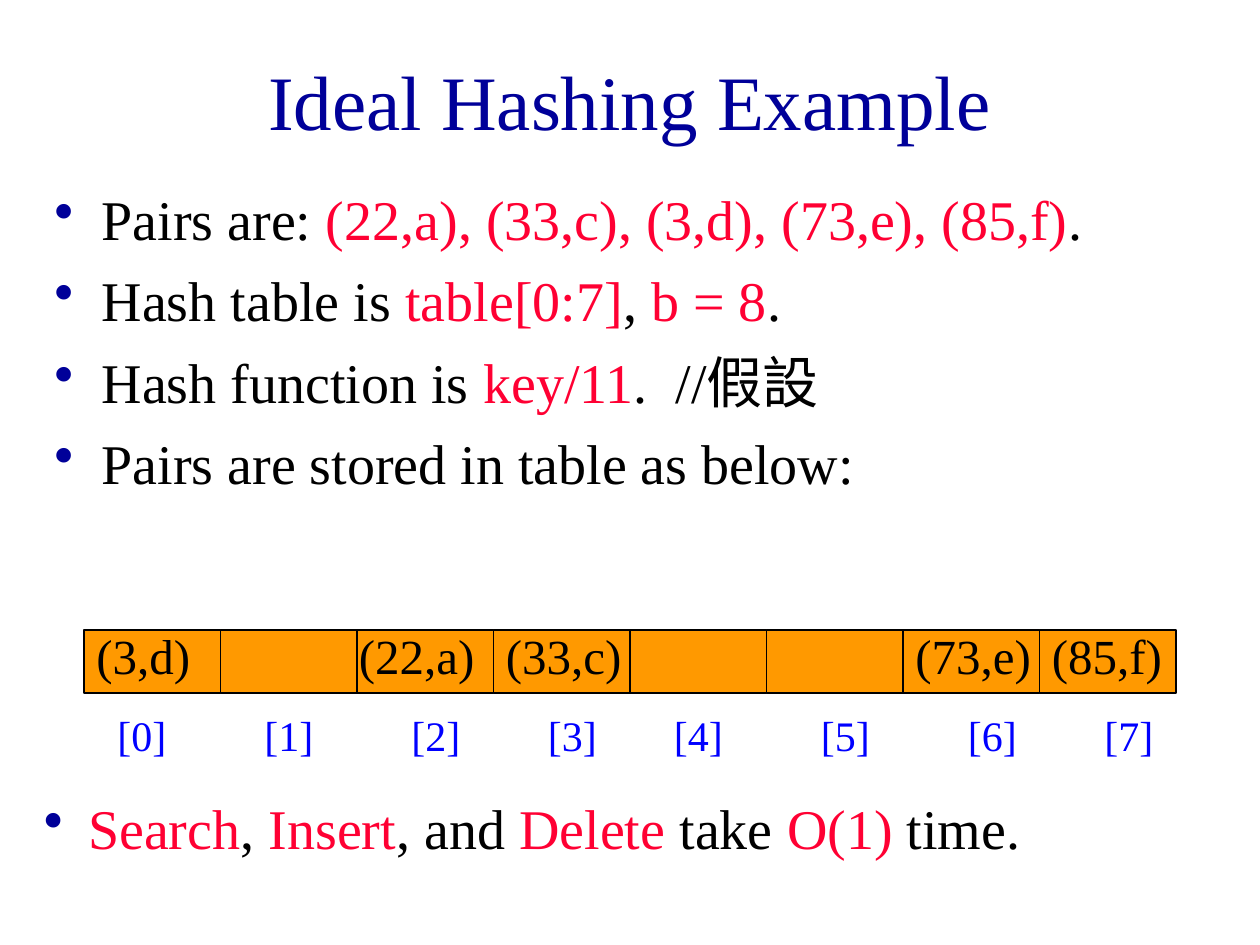
"""Build the slide on ideal hashing with its eight-slot table."""
from dataclasses import dataclass

from lxml import etree
from pptx import Presentation
from pptx import util as u
from pptx.dml.color import RGBColor
from pptx.enum import shapes, text
from pptx.oxml.ns import qn

PX = 7620


@dataclass(frozen=True)
class Theme:
    font: str = "Times New Roman"
    navy: str = "000099"
    red: str = "FF0033"
    blue: str = "0000FF"
    black: str = "000000"
    fill: str = "FF9900"
    title: int = 44
    body: int = 32
    pair: int = 28
    label: int = 24


class Deck:
    def __init__(self, theme):
        self.theme = theme
        self.prs = Presentation()
        self.prs.slide_width, self.prs.slide_height = 1200 * PX, 900 * PX
        self.slide = self.prs.slides.add_slide(self.prs.slide_layouts[5])

    def style(self, run, size, color):
        run.font.name = self.theme.font
        run.font.size = u.Pt(size)
        run.font.color.rgb = RGBColor.from_string(color)

    def title(self, box, words):
        shape = self.slide.shapes.title
        shape.left, shape.top, shape.width, shape.height = [n * PX for n in box]
        frame = shape.text_frame
        frame.text = words
        frame.auto_size = text.MSO_AUTO_SIZE.NONE
        frame.vertical_anchor = text.MSO_ANCHOR.MIDDLE
        para = frame.paragraphs[0]
        para.alignment = text.PP_ALIGN.CENTER
        self.style(para.runs[0], self.theme.title, self.theme.navy)

    def frame(self, box):
        shape = self.slide.shapes.add_textbox(*[n * PX for n in box])
        shape.text_frame.word_wrap = True
        return shape.text_frame

    def label(self, box, words, size, color):
        frame = self.frame(box)
        frame.text = words
        self.style(frame.paragraphs[0].runs[0], size, color)

    def bullets(self, box, lines, indent):
        """Write bulleted lines, with the parts between asterisks in red."""
        frame = self.frame(box)
        for i, line in enumerate(lines):
            para = frame.add_paragraph() if i else frame.paragraphs[0]
            props = para._p.get_or_add_pPr()
            props.set("marL", str(indent * PX))
            props.set("indent", str(-indent * PX))
            tint = etree.SubElement(props, qn("a:buClr"))
            etree.SubElement(tint, qn("a:srgbClr"), val=self.theme.navy)
            etree.SubElement(props, qn("a:buChar"), char="•")
            if i:
                para.space_before = u.Pt(8)
            for j, part in enumerate(line.split("*")):
                if part:
                    run = para.add_run()
                    run.text = part
                    color = self.theme.red if j % 2 else self.theme.black
                    self.style(run, self.theme.body, color)

    def cell(self, box):
        shape = self.slide.shapes.add_shape(
            shapes.MSO_SHAPE.RECTANGLE, *[n * PX for n in box])
        shape.shadow.inherit = False
        shape.fill.solid()
        shape.fill.fore_color.rgb = RGBColor.from_string(self.theme.fill)
        shape.line.color.rgb = RGBColor.from_string(self.theme.black)
        shape.line.width = u.Pt(1)


def main():
    theme = Theme()
    deck = Deck(theme)
    deck.title((90, 20, 1020, 150), "Ideal Hashing Example")
    deck.bullets((40, 170, 1120, 340), [
        "Pairs are: *(22,a), (33,c), (3,d), (73,e), (85,f)*.",
        "Hash table is* table[0:7]*, *b = 8*.",
        "Hash function is* key/11*.  //假設",
        "Pairs are stored in table as below:",
    ], 45)

    for slot in range(8):
        deck.cell((80 + 130 * slot, 600, 130, 60))
    for slot, left in enumerate((100, 240, 380, 510, 630, 770, 910, 1040)):
        deck.label((left, 670, 90, 60), f"[{slot}]", theme.label, theme.blue)

    pairs = {"(3,d)": 80, "(22,a)": 330, "(33,c)": 470,
             "(73,e)": 860, "(85,f)": 990}
    for pair, left in pairs.items():
        deck.label((left, 590, 160, 68), pair, theme.pair, theme.black)

    deck.bullets((30, 750, 1170, 77), [
        "*Search*, *Insert*, and *Delete* take *O(1) *time."], 42)
    deck.prs.save("out.pptx")


if __name__ == "__main__":
    main()
